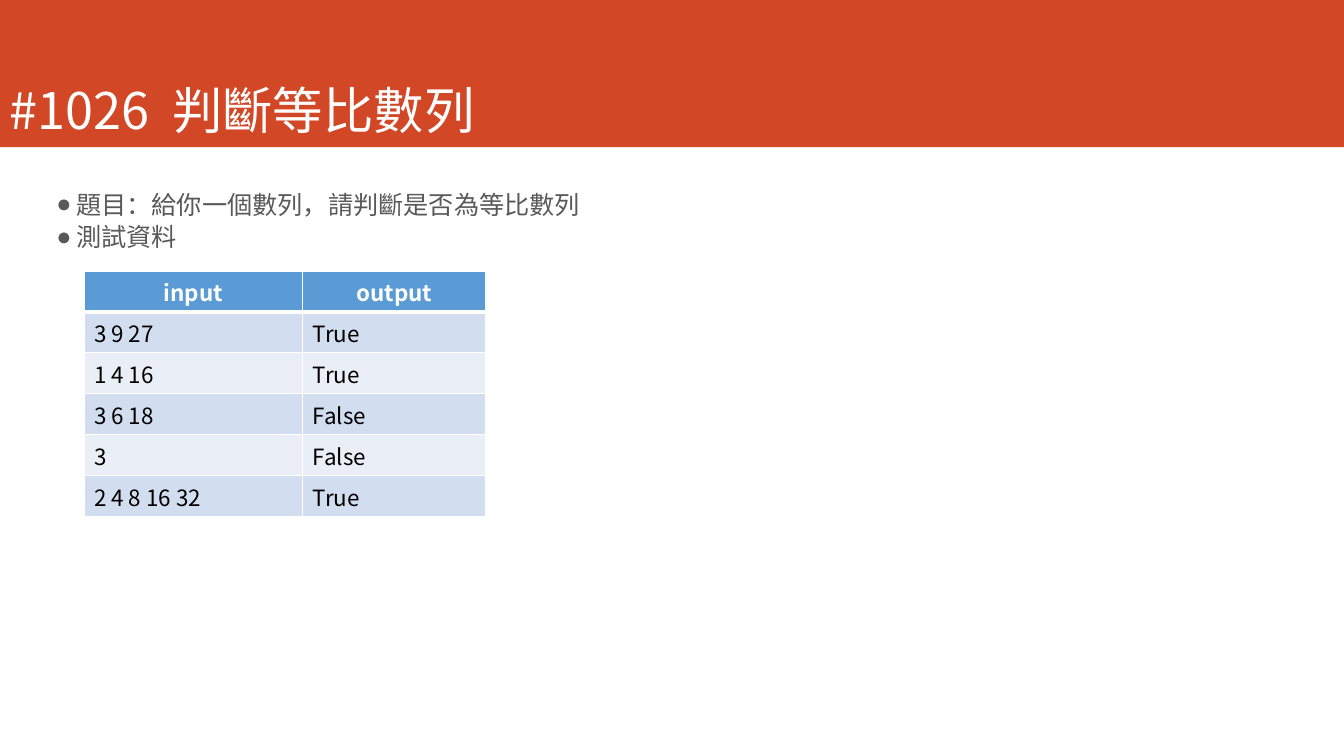
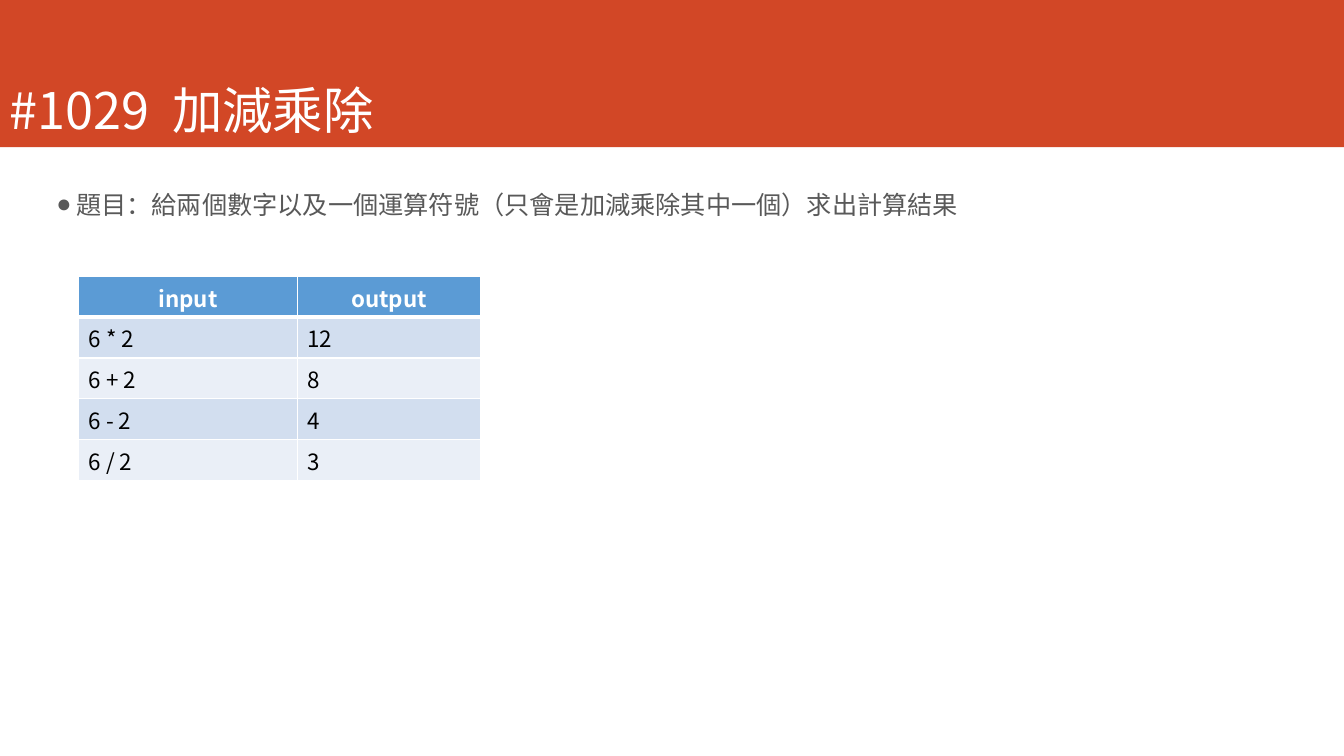
from lxml import etree
from pptx import Presentation
from pptx.dml.color import RGBColor
from pptx.enum.shapes import MSO_SHAPE
from pptx.enum.text import MSO_ANCHOR, PP_ALIGN
from pptx.oxml.ns import qn
from pptx.util import Cm, Pt

RECTANGLE = MSO_SHAPE.RECTANGLE
TOP, MIDDLE, BOTTOM = MSO_ANCHOR.TOP, MSO_ANCHOR.MIDDLE, MSO_ANCHOR.BOTTOM
LEFT, CENTER = PP_ALIGN.LEFT, PP_ALIGN.CENTER

ORANGE = RGBColor(0xD2, 0x47, 0x26)
WHITE = RGBColor(0xFF, 0xFF, 0xFF)
BLACK = RGBColor(0x00, 0x00, 0x00)
GRAY = RGBColor(0x59, 0x59, 0x59)
BLUE = RGBColor(0x5B, 0x9B, 0xD5)
BANDS = (RGBColor(0xD2, 0xDE, 0xEF), RGBColor(0xEA, 0xEF, 0xF7))

FONT = "Noto Sans CJK TC"
BULLET_FONT = "Arial"
TITLE_FORMAT = {"size": Pt(36), "bold": False}
BODY_FORMAT = {"size": Pt(18), "bold": False}
HEADER_FORMAT = {"size": Pt(16), "bold": True}
CELL_FORMAT = {"size": Pt(16), "bold": False}
BODY_PARAGRAPH = {"space_before": Pt(6), "line_spacing": 0.81}
BODY_FRAME = {"word_wrap": True, "margin_left": Cm(0.2), "margin_top": Cm(0.2),
              "margin_right": 0, "margin_bottom": 0}

SLIDE_WIDTH, SLIDE_HEIGHT = Cm(33.87), Cm(19.05)
BAND_HEIGHT = Cm(3.71)
TITLE_BOX = (0, Cm(0.3), Cm(29.87), Cm(3.35))
BULLET_INDENT = Cm(0.5)
COLUMN_WIDTHS = (Cm(5.51), Cm(4.62))
ROW_HEIGHT = Cm(1.03)
TITLE_GAP = "800"
HEADERS = ("input", "output")

PROBLEMS = (
    {
        "title": ("#1026", "判斷等比數列"),
        "bullets": ("題目：給你一個數列，請判斷是否為等比數列", "測試資料"),
        "bullet_box": (Cm(1.22), Cm(4.7), Cm(13.72), Cm(2.13)),
        "rows": (("3 9 27", "True"), ("1 4 16", "True"), ("3 6 18", "False"),
                 ("3", "False"), ("2 4 8 16 32", "True")),
        "table_corner": (Cm(2.12), Cm(6.83)),
    },
    {
        "title": ("#1029", "加減乘除"),
        "bullets": ("題目：給兩個數字以及一個運算符號（只會是加減乘除其中一個）求出計算結果",),
        "bullet_box": (Cm(1.22), Cm(4.7), Cm(32.28), Cm(1.24)),
        "rows": (("6 * 2", "12"), ("6 + 2", "8"), ("6 - 2", "4"), ("6 / 2", "3")),
        "table_corner": (Cm(1.98), Cm(6.96)),
    },
)


def set_values(target, values):
    """Set each attribute named in values on target."""
    for name, value in values.items():
        setattr(target, name, value)


def add_run(paragraph, text, values, color):
    """Append a run in the shared font and return it."""
    run = paragraph.add_run()
    run.text = text
    set_values(run.font, {"name": FONT, **values})
    run.font.color.rgb = color
    east_asian = etree.SubElement(run.font._element, qn("a:ea"))
    east_asian.set("typeface", FONT)
    return run


def add_title(slide, box, number, name):
    """Draw the title band and the problem number and name in box."""
    band = slide.shapes.add_shape(RECTANGLE, 0, 0, SLIDE_WIDTH, BAND_HEIGHT)
    band.shadow.inherit = False
    band.fill.solid()
    band.fill.fore_color.rgb = ORANGE
    band.line.fill.background()
    frame = slide.shapes.add_textbox(*box).text_frame
    set_values(frame, {"word_wrap": True, "vertical_anchor": BOTTOM})
    paragraph = frame.paragraphs[0]
    add_run(paragraph, number, TITLE_FORMAT, WHITE)
    gap = add_run(paragraph, " ", TITLE_FORMAT, WHITE)
    gap.font._element.set("spc", TITLE_GAP)
    add_run(paragraph, name, TITLE_FORMAT, WHITE)


def set_bullet(paragraph):
    """Give a paragraph a round bullet with a hanging indent."""
    properties = paragraph._p.get_or_add_pPr()
    properties.set("marL", str(BULLET_INDENT))
    properties.set("indent", str(-BULLET_INDENT))
    etree.SubElement(properties, qn("a:buFont")).set("typeface", BULLET_FONT)
    etree.SubElement(properties, qn("a:buChar")).set("char", "●")


def add_bullets(slide, box, lines):
    """Write the problem statement as bulleted lines in box."""
    frame = slide.shapes.add_textbox(*box).text_frame
    set_values(frame, BODY_FRAME)
    for index, line in enumerate(lines):
        paragraph = frame.add_paragraph() if index else frame.paragraphs[0]
        set_values(paragraph, BODY_PARAGRAPH)
        set_bullet(paragraph)
        add_run(paragraph, line, BODY_FORMAT, GRAY)


def set_borders(cell, bottom_width):
    """Draw white cell borders, placed before the fill as the schema asks."""
    properties = cell._tc.get_or_add_tcPr()
    widths = {"a:lnL": Pt(1), "a:lnR": Pt(1), "a:lnT": Pt(1), "a:lnB": bottom_width}
    for position, (tag, width) in enumerate(widths.items()):
        line = etree.Element(qn(tag), w=str(width))
        fill = etree.SubElement(line, qn("a:solidFill"))
        etree.SubElement(fill, qn("a:srgbClr")).set("val", str(WHITE))
        properties.insert(position, line)


def fill_cell(cell, text, is_header, color):
    """Write and format one table cell."""
    cell.fill.solid()
    cell.fill.fore_color.rgb = color
    cell.vertical_anchor = TOP if is_header else MIDDLE
    paragraph = cell.text_frame.paragraphs[0]
    paragraph.alignment = CENTER if is_header else LEFT
    add_run(paragraph, text, HEADER_FORMAT if is_header else CELL_FORMAT,
            WHITE if is_header else BLACK)
    set_borders(cell, Pt(3) if is_header else Pt(1))


def add_test_table(slide, corner, rows):
    """Draw the table of test inputs and outputs from its top left corner."""
    lines = (HEADERS, *rows)
    table = slide.shapes.add_table(len(lines), len(HEADERS), *corner,
                                   sum(COLUMN_WIDTHS), ROW_HEIGHT * len(lines)).table
    for column, width in zip(table.columns, COLUMN_WIDTHS):
        column.width = width
    for row_index, line in enumerate(lines):
        color = BANDS[(row_index - 1) % 2] if row_index else BLUE
        for column_index, text in enumerate(line):
            fill_cell(table.cell(row_index, column_index), text, row_index == 0, color)


def add_problem_slide(presentation, problem):
    """Add one slide with a title, a statement and test data."""
    slide = presentation.slides.add_slide(presentation.slide_layouts[6])
    add_title(slide, TITLE_BOX, *problem["title"])
    add_bullets(slide, problem["bullet_box"], problem["bullets"])
    add_test_table(slide, problem["table_corner"], problem["rows"])


def main():
    """Build and save the presentation."""
    presentation = Presentation()
    set_values(presentation, {"slide_width": SLIDE_WIDTH, "slide_height": SLIDE_HEIGHT})
    for problem in PROBLEMS:
        add_problem_slide(presentation, problem)
    presentation.save("out.pptx")


if __name__ == "__main__":
    main()
